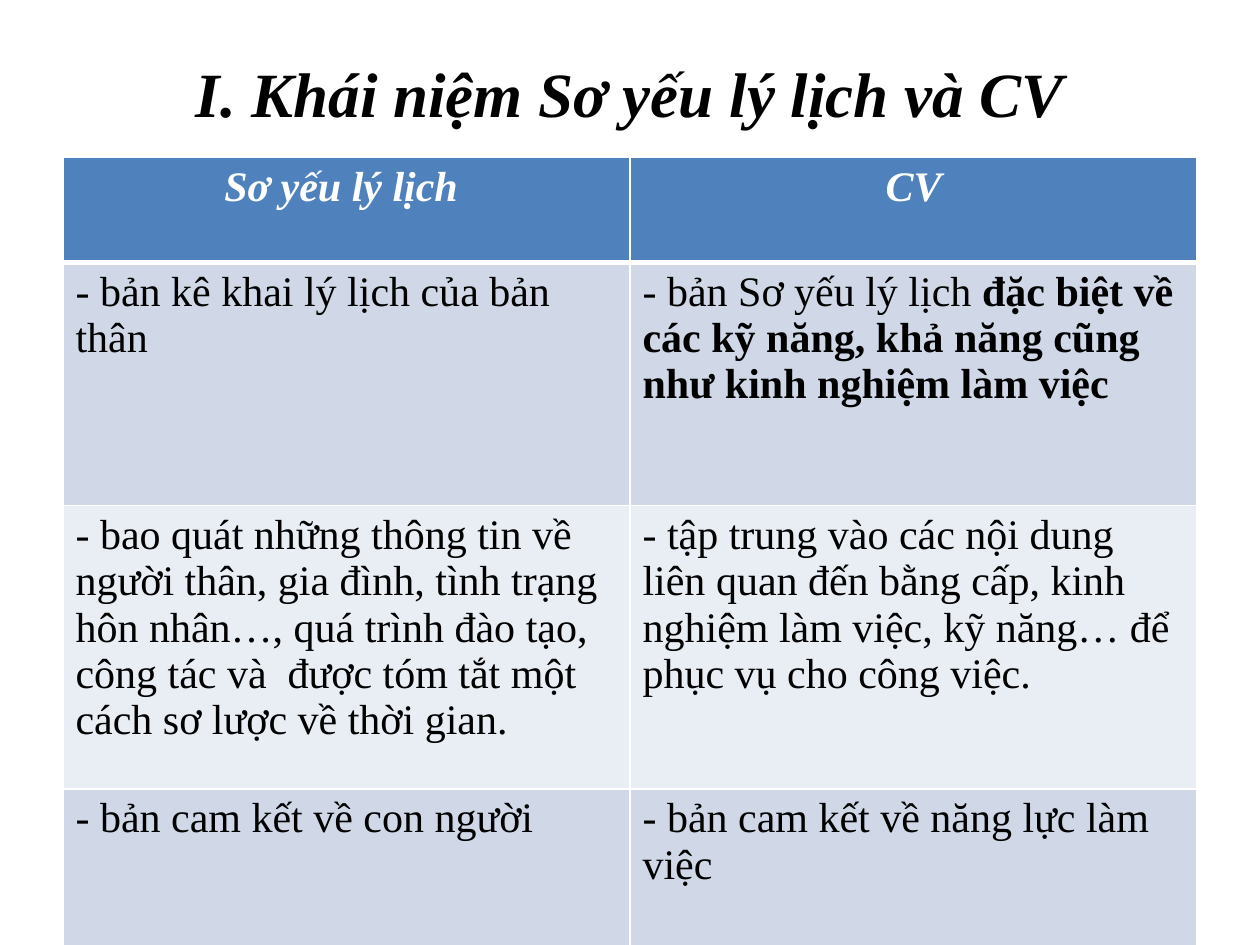
from dataclasses import dataclass

from lxml import etree
from pptx import Presentation
from pptx.dml.color import RGBColor
from pptx.enum.text import MSO_ANCHOR, PP_ALIGN
from pptx.oxml.ns import qn
from pptx.util import Cm, Pt

CENTER = PP_ALIGN.CENTER
LEFT = PP_ALIGN.LEFT
MIDDLE = MSO_ANCHOR.MIDDLE


@dataclass(frozen=True)
class Theme:
    """Colours, font and sizes of the slide."""
    font: str = "Times New Roman"
    title_size: int = 36
    table_size: int = 24
    text: str = "000000"
    white: str = "FFFFFF"
    header: str = "4F81BD"
    bands: tuple = ("D0D8E8", "E9EDF4")
    thin: int = 1
    thick: int = 3


THEME = Theme()
TITLE = "I. Khái niệm Sơ yếu lý lịch và CV"
HEADINGS = ("Sơ yếu lý lịch ", "CV")
COMPARISON = (
    (
        ("- bản kê khai lý lịch của bản thân",),
        ("- bản Sơ yếu lý lịch",
         " đặc biệt về các kỹ năng, khả năng cũng như kinh nghiệm làm việc"),
    ),
    (
        ("- bao quát những thông tin về người thân, gia đình, tình trạng hôn nhân…, "
         "quá trình đào tạo, công tác và  được tóm tắt một cách sơ lược về thời gian.",),
        ("- tập trung vào các nội dung liên quan đến bằng cấp, kinh nghiệm làm việc, "
         "kỹ năng… để phục vụ cho công việc.",),
    ),
    (
        ("- bản cam kết về con người",),
        ("- bản cam kết về năng lực làm việc",),
    ),
)
MARGIN = Cm(1.27)
CONTENT_WIDTH = Cm(22.86)
ROW_HEIGHTS = (Cm(2.11), Cm(4.9), Cm(5.72), Cm(3.61))


def add_text(paragraph, text, *, size, color=THEME.text, bold=False, italic=False, align=LEFT):
    """Append a formatted run to a paragraph."""
    paragraph.alignment = align
    run = paragraph.add_run()
    run.text = text
    font = run.font
    font.name = THEME.font
    font.size = Pt(size)
    font.bold = bold
    font.italic = italic
    font.color.rgb = RGBColor.from_string(color)


def set_borders(cell, *, top, bottom):
    """Draw white borders round a cell, with widths in points."""
    properties = cell._tc.get_or_add_tcPr()
    widths = {"a:lnL": THEME.thin, "a:lnR": THEME.thin, "a:lnT": top, "a:lnB": bottom}
    for index, (tag, width) in enumerate(widths.items()):
        line = etree.Element(qn(tag), w=str(Pt(width)))
        fill = etree.SubElement(line, qn("a:solidFill"))
        etree.SubElement(fill, qn("a:srgbClr"), val=THEME.white)
        properties.insert(index, line)


def fill_cell(cell, color):
    """Give a cell a solid fill."""
    cell.fill.solid()
    cell.fill.fore_color.rgb = RGBColor.from_string(color)


def add_title(slide):
    """Add the centred slide title."""
    shape = slide.shapes.add_textbox(MARGIN, Cm(0.76), CONTENT_WIDTH, Cm(2.21))
    frame = shape.text_frame
    frame.word_wrap = True
    frame.vertical_anchor = MIDDLE
    add_text(frame.paragraphs[0], TITLE, size=THEME.title_size,
             bold=True, italic=True, align=CENTER)


def add_comparison_table(slide):
    """Add the two-column comparison with its header row."""
    shape = slide.shapes.add_table(len(ROW_HEIGHTS), len(HEADINGS), MARGIN, Cm(3.18),
                                   CONTENT_WIDTH, sum(ROW_HEIGHTS))
    table = shape.table
    for row, height in zip(table.rows, ROW_HEIGHTS):
        row.height = height
    for cell, heading in zip(table.rows[0].cells, HEADINGS):
        fill_cell(cell, THEME.header)
        set_borders(cell, top=THEME.thin, bottom=THEME.thick)
        add_text(cell.text_frame.paragraphs[0], heading, size=THEME.table_size,
                 color=THEME.white, bold=True, italic=True, align=CENTER)
    for index, texts in enumerate(COMPARISON):
        top = THEME.thin if index else THEME.thick
        for cell, parts in zip(table.rows[index + 1].cells, texts):
            fill_cell(cell, THEME.bands[index % 2])
            set_borders(cell, top=top, bottom=THEME.thin)
            for position, part in enumerate(parts):
                add_text(cell.text_frame.paragraphs[0], part,
                         size=THEME.table_size, bold=position > 0)


def main():
    """Build and save the presentation."""
    presentation = Presentation()
    presentation.slide_width = Cm(25.4)
    presentation.slide_height = Cm(19.05)
    slide = presentation.slides.add_slide(presentation.slide_layouts[6])
    add_title(slide)
    add_comparison_table(slide)
    presentation.save("out.pptx")


if __name__ == "__main__":
    main()
